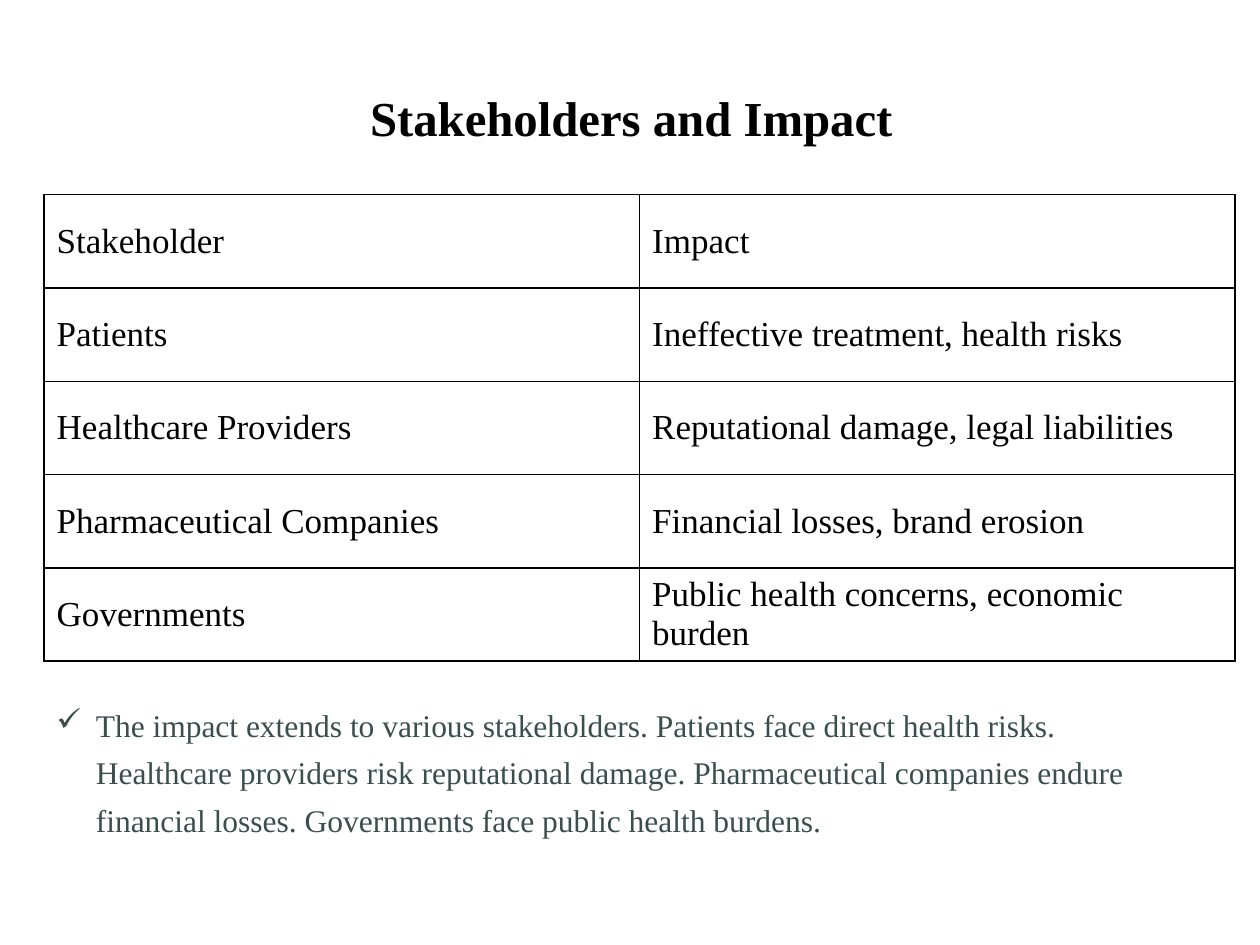
from lxml import etree
from pptx import Presentation
from pptx.dml.color import RGBColor
from pptx.enum import text
from pptx.oxml import ns
from pptx.util import Pt

# Content
TITLE = "Stakeholders and Impact"
ROWS = [
    ("Stakeholder", "Impact"),
    ("Patients", "Ineffective treatment, health risks"),
    ("Healthcare Providers", "Reputational damage, legal liabilities"),
    ("Pharmaceutical Companies", "Financial losses, brand erosion"),
    ("Governments", "Public health concerns, economic burden"),
]
SUMMARY = (
    "The impact extends to various stakeholders. Patients face direct health risks. "
    "Healthcare providers risk reputational damage. Pharmaceutical companies endure "
    "financial losses. Governments face public health burdens."
)

# Format
FONT = "Times New Roman"
BLACK = RGBColor(0x00, 0x00, 0x00)
SLATE = RGBColor(0x3B, 0x4E, 0x4E)
LEFT = Pt(25.2)
COL_W, ROW_H = Pt(340.3), Pt(53.3)
INDENT = Pt(22.5)


def write(tf, content, size=20, color=BLACK, bold=False, align=None):
    p = tf.paragraphs[0]
    p.alignment = align
    r = p.add_run()
    r.text = content
    r.font.name, r.font.size, r.font.bold = FONT, Pt(size), bold
    r.font.color.rgb = color
    return p


def add_borders(cell, width=Pt(1)):
    tc_pr = cell._tc.get_or_add_tcPr()
    for i, side in enumerate(("lnL", "lnR", "lnT", "lnB")):
        ln = etree.Element(ns.qn("a:" + side), w=str(width))
        fill = etree.SubElement(ln, ns.qn("a:solidFill"))
        etree.SubElement(fill, ns.qn("a:srgbClr"), val=str(BLACK))
        tc_pr.insert(i, ln)


prs = Presentation()
prs.slide_width, prs.slide_height = Pt(720), Pt(540)
s = prs.slides.add_slide(prs.slide_layouts[5])

# Title
title = s.shapes.title
title.left, title.top, title.width, title.height = Pt(36.7), Pt(43.2), Pt(648), Pt(90)
tf = title.text_frame
tf.auto_size = text.MSO_AUTO_SIZE.NONE
tf.vertical_anchor = text.MSO_ANCHOR.TOP
tf.margin_top = Pt(7)
write(tf, TITLE, size=27.9, bold=True, align=text.PP_ALIGN.CENTER)

# Stakeholder table
n_rows, n_cols = len(ROWS), len(ROWS[0])
table = s.shapes.add_table(
    n_rows, n_cols, LEFT, Pt(111.3), COL_W * n_cols, ROW_H * n_rows
).table
table.first_row = table.horz_banding = False
for col in table.columns:
    col.width = COL_W
for row, entries in zip(table.rows, ROWS):
    row.height = ROW_H
    for cell, entry in zip(row.cells, entries):
        cell.fill.background()
        cell.vertical_anchor = text.MSO_ANCHOR.MIDDLE
        add_borders(cell)
        write(cell.text_frame, entry)

# Summary with check mark
sp = s.shapes.add_textbox(LEFT, Pt(394.6), Pt(657.4), Pt(89.3))
tf = sp.text_frame
tf.word_wrap = True
tf.auto_size = text.MSO_AUTO_SIZE.SHAPE_TO_FIT_TEXT
p = write(tf, SUMMARY, size=18, color=SLATE)
p.line_spacing = Pt(27)
p_pr = p._p.get_or_add_pPr()
p_pr.set("marL", str(INDENT))
p_pr.set("indent", str(-INDENT))
etree.SubElement(p_pr, ns.qn("a:buChar"), char="✓")

prs.save("out.pptx")
